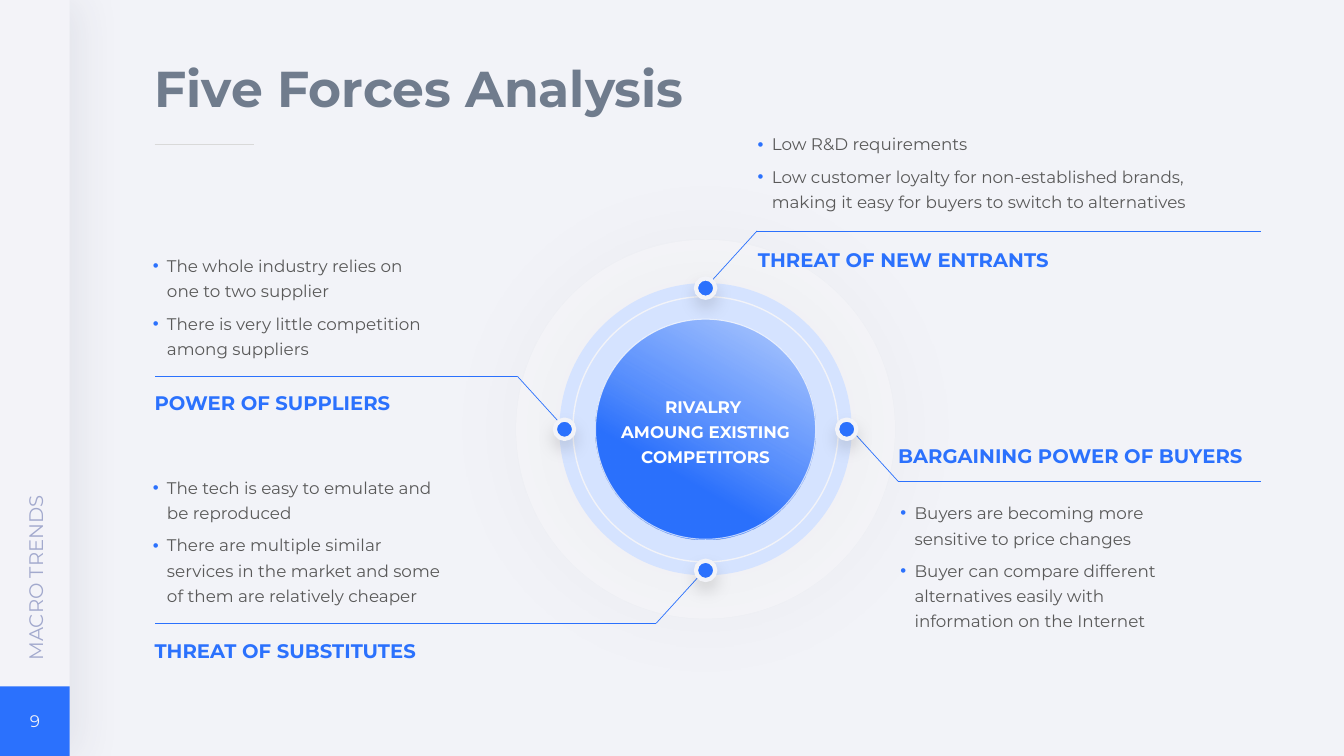
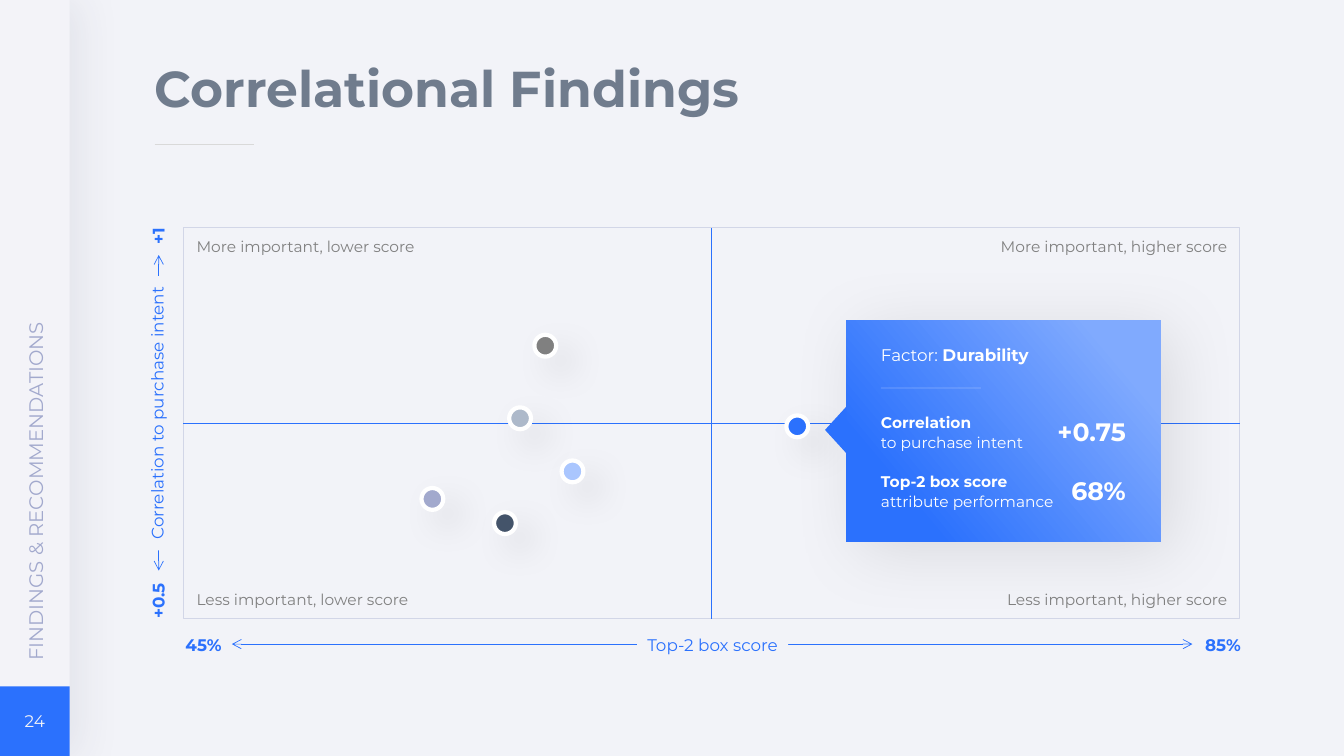
from dataclasses import dataclass, replace
from typing import Optional, Union

from lxml import etree
from pptx import Presentation
from pptx.dml.color import RGBColor
from pptx.enum.shapes import MSO_CONNECTOR, MSO_SHAPE
from pptx.enum.text import MSO_ANCHOR, MSO_AUTO_SIZE, PP_ALIGN
from pptx.oxml.ns import qn
from pptx.util import Emu, Inches, Pt

COLUMNS, ROWS = 80, 45
SLIDE_WIDTH = Inches(40 / 3)
CELL = SLIDE_WIDTH / COLUMNS
Point = tuple[float, float]


@dataclass(frozen=True)
class Theme:
    font: str = "Montserrat"
    paper: str = "F2F3F8"
    band: str = "F3F3F8"
    blue: str = "2B71FD"
    sky: str = "80AAFE"
    ice: str = "D5E3FF"
    lilac: str = "A2A9CD"
    slate: str = "707C8D"
    body: str = "595959"
    gray: str = "808080"
    rule: str = "D9D9D9"
    frame: str = "D2D6E7"
    white: str = "FFFFFF"
    title_size: int = 36
    value_size: int = 18
    heading_size: int = 14
    body_size: int = 12
    label_size: int = 11


THEME = Theme()


@dataclass(frozen=True)
class Box:
    """A rectangle measured in grid cells."""
    left: float
    top: float
    width: float
    height: float

    @property
    def emu(self) -> tuple[Emu, ...]:
        return tuple(map(cells, (self.left, self.top, self.width, self.height)))


@dataclass(frozen=True)
class Line:
    color: str
    width: float = 0.5
    alpha: int = 100


@dataclass(frozen=True)
class Shadow:
    color: str
    alpha: int
    blur: float
    distance: float
    angle: int


@dataclass(frozen=True)
class Gradient:
    """Stops are (position, colour, alpha); the angle runs counter-clockwise."""
    stops: tuple[tuple[int, str, int], ...]
    angle: int


@dataclass(frozen=True)
class Style:
    size: int
    color: str
    bold: bool = False
    align: PP_ALIGN = PP_ALIGN.LEFT
    anchor: MSO_ANCHOR = MSO_ANCHOR.MIDDLE
    spacing: Union[float, Pt, None] = 0.9


@dataclass(frozen=True)
class Force:
    heading: str
    heading_box: Box
    points: tuple[str, str]
    points_box: Box
    elbow: Point
    line_end: float
    leg: Point
    side: Point
    anchor: MSO_ANCHOR = MSO_ANCHOR.BOTTOM


def cells(count: float) -> Emu:
    return Emu(round(count * CELL))


def circle(center: Point, diameter: float) -> Box:
    return Box(center[0] - diameter / 2, center[1] - diameter / 2, diameter, diameter)


def set_alpha(element, alpha: int) -> None:
    if alpha < 100:
        for color in element.iter(qn("a:srgbClr")):
            etree.SubElement(color, qn("a:alpha"), val=str(alpha * 1000))


def add_color(parent, color: str, alpha: int) -> None:
    etree.SubElement(parent, qn("a:srgbClr"), val=color)
    set_alpha(parent, alpha)


def draw_line(target, line: Line) -> None:
    target.line.color.rgb = RGBColor.from_string(line.color)
    target.line.width = Pt(line.width)
    set_alpha(target._element.spPr.find(qn("a:ln")), line.alpha)


def fill_shape(shape, fill: Union[str, Gradient, None], alpha: int) -> None:
    properties = shape._element.spPr
    if fill is None:
        shape.fill.background()
    elif isinstance(fill, Gradient):
        shape.fill.gradient()
        shape.fill.gradient_angle = fill.angle
        stops = properties.find(qn("a:gradFill")).find(qn("a:gsLst"))
        stops.clear()
        for position, color, opacity in fill.stops:
            stop = etree.SubElement(stops, qn("a:gs"), pos=str(position * 1000))
            add_color(stop, color, opacity)
    else:
        shape.fill.solid()
        shape.fill.fore_color.rgb = RGBColor.from_string(fill)
        set_alpha(properties.find(qn("a:solidFill")), alpha)


def add_shape(slide, kind: MSO_SHAPE, box: Box, fill: Union[str, Gradient, None] = None,
              line: Optional[Line] = None, shadow: Optional[Shadow] = None,
              alpha: int = 100, rotation: int = 0):
    shape = slide.shapes.add_shape(kind, *box.emu)
    shape.rotation = rotation
    shape.shadow.inherit = False
    fill_shape(shape, fill, alpha)
    if line:
        draw_line(shape, line)
    else:
        shape.line.fill.background()
    if shadow:
        outer = etree.SubElement(
            shape._element.spPr.find(qn("a:effectLst")), qn("a:outerShdw"),
            blurRad=str(Pt(shadow.blur)), dist=str(Pt(shadow.distance)),
            dir=str(shadow.angle * 60000), algn="ctr", rotWithShape="0")
        add_color(outer, shadow.color, shadow.alpha)
    return shape


def add_line(slide, start: Point, end: Point, line: Line, arrows: bool = False):
    connector = slide.shapes.add_connector(
        MSO_CONNECTOR.STRAIGHT, *map(cells, (*start, *end)))
    draw_line(connector, line)
    properties = connector._element.spPr
    if arrows:
        for tip in ("a:headEnd", "a:tailEnd"):
            etree.SubElement(properties.find(qn("a:ln")), qn(tip), type="arrow")
    etree.SubElement(properties, qn("a:effectLst"))
    return connector


def add_run(paragraph, text: str, style: Style) -> None:
    for index, part in enumerate(text.split("\v")):
        if index:
            paragraph.add_line_break()
        run = paragraph.add_run()
        run.text = part
        font = {"name": THEME.font, "size": Pt(style.size), "bold": style.bold}
        for name, value in font.items():
            setattr(run.font, name, value)
        run.font.color.rgb = RGBColor.from_string(style.color)


def format_frame(shape, style: Style):
    """Set up the text frame and return its first paragraph."""
    frame = shape.text_frame
    layout = {"word_wrap": True, "auto_size": MSO_AUTO_SIZE.NONE,
              "vertical_anchor": style.anchor, "margin_left": 0, "margin_right": 0,
              "margin_top": Inches(0.05), "margin_bottom": Inches(0.05)}
    for name, value in layout.items():
        setattr(frame, name, value)
    return frame.paragraphs[0]


def write(shape, style: Style, *runs: tuple[str, bool]) -> None:
    paragraph = format_frame(shape, style)
    paragraph.alignment, paragraph.line_spacing = style.align, style.spacing
    for text, bold in runs:
        add_run(paragraph, text, replace(style, bold=bold))


def add_text(slide, box: Box, text: str, style: Style, rotation: int = 0) -> None:
    label = slide.shapes.add_textbox(*box.emu)
    label.rotation = rotation
    write(label, style, (text, style.bold))


def add_points(slide, box: Box, points: tuple[str, ...], style: Style) -> None:
    listing = slide.shapes.add_textbox(*box.emu)
    paragraph = format_frame(listing, style)
    for index, point in enumerate(points):
        if index:
            paragraph = listing.text_frame.add_paragraph()
            paragraph.space_before = Pt(2)
        paragraph.space_after = Pt(3)
        paragraph.line_spacing = style.spacing
        properties = paragraph._p.get_or_add_pPr()
        properties.set("marL", str(cells(1.14)))
        properties.set("indent", str(cells(-0.84)))
        add_color(etree.SubElement(properties, qn("a:buClr")), THEME.blue, 100)
        etree.SubElement(properties, qn("a:buFont"), typeface="Arial")
        etree.SubElement(properties, qn("a:buChar"), char="•")
        add_run(paragraph, point, style)


def add_base_slide(deck, title: str, section: str, number: str):
    """Add a title-only slide with the side band, page number and title rule."""
    slide = deck.slides.add_slide(deck.slide_layouts[5])
    band = 4.15
    add_shape(slide, MSO_SHAPE.RECTANGLE, Box(0, 0, band, ROWS), THEME.band,
              shadow=Shadow("2B3150", 7, 30, 7, 0))
    page = add_shape(slide, MSO_SHAPE.RECTANGLE, Box(0, ROWS - band, band, band), THEME.blue)
    write(page, Style(THEME.body_size, THEME.paper, align=PP_ALIGN.CENTER, spacing=None),
          (number, False))
    add_text(slide, Box(-9.3, 26.7, 22.8, 2.45), section,
             Style(THEME.heading_size, THEME.lilac, spacing=None), 270)
    heading = slide.shapes.title
    heading.left, heading.top, heading.width, heading.height = Box(9.2, 3.5, 58.7, 5).emu
    write(heading, Style(THEME.title_size, THEME.slate, anchor=MSO_ANCHOR.TOP), (title, True))
    add_line(slide, (9.2, 8.6), (15.15, 8.6), Line(THEME.rule))
    return slide


FORCES = (
    Force("THREAT OF NEW ENTRANTS", Box(45.12, 14.58, 22.8, 1.68),
          ("Low R&D requirements",
           "Low customer loyalty for non-established brands, "
           "making it easy for buyers to switch to alternatives"),
          Box(44.8, 3.5, 26, 9.4), (45.06, 13.75), 75.06, (-1, 1), (0, -1)),
    Force("THREAT OF SUBSTITUTES", Box(9.2, 36.5, 17.4, 4.4),
          ("The tech is easy to emulate and be reproduced",
           "There are multiple similar services in the market "
           "and some of them are relatively cheaper"),
          Box(8.8, 26.95, 17.95, 9.4), (39.06, 37.1), 9.2, (1, -1), (0, 1)),
    Force("POWER OF SUPPLIERS", Box(9.2, 22.8, 19.4, 2.2),
          ("The whole industry relies on one to two supplier",
           "There is very little competition among suppliers"),
          Box(8.8, 14.95, 16.4, 6.7), (30.8, 22.4), 9.2, (1, 1), (-1, 0)),
    Force("BARGAINING POWER OF BUYERS", Box(53.46, 26, 21.6, 2.2),
          ("Buyers are becoming more sensitive to price changes",
           "Buyer can compare different alternatives easily "
           "with information on the Internet"),
          Box(53.3, 29.35, 17.9, 7.85), (53.46, 28.65), 75.06, (-1, -1), (1, 0),
          MSO_ANCHOR.TOP),
)


def build_forces(deck) -> None:
    slide = add_base_slide(deck, "Five Forces Analysis", "MACRO TRENDS", "9")
    center, reach = (42, 25.55), 8.4
    core = Gradient(((10, THEME.blue, 30), (51, THEME.blue, 76), (68, THEME.blue, 100)), 240)
    rings = (
        (22.55, {"fill": THEME.white, "alpha": 30, "shadow": Shadow("000000", 10, 60, 0, 0)}),
        (17.4, {"fill": THEME.ice}),
        (15.8, {"line": Line(THEME.paper, 1)}),
        (13.1, {"fill": core, "line": Line(THEME.white, 0, 70)}),
    )
    for diameter, look in rings:
        add_shape(slide, MSO_SHAPE.OVAL, circle(center, diameter), **look)
    add_text(slide, Box(36.3, 23.35, 11.4, 4.4), "RIVALRY \vAMOUNG EXISTING COMPETITORS",
             Style(THEME.body_size, THEME.white, True, PP_ALIGN.CENTER, spacing=Pt(18)))
    heading = Style(THEME.heading_size, THEME.blue, True, spacing=Pt(18))
    body = Style(THEME.body_size, THEME.body, spacing=Pt(18))
    for force in FORCES:
        x, y = force.elbow
        add_text(slide, force.heading_box, force.heading, heading)
        add_points(slide, force.points_box, force.points, replace(body, anchor=force.anchor))
        add_line(slide, force.elbow, (force.line_end, y), Line(THEME.blue))
        add_line(slide, force.elbow, (x + 2.82 * force.leg[0], y + 3.1 * force.leg[1]),
                 Line(THEME.blue))
        knob = (center[0] + reach * force.side[0], center[1] + reach * force.side[1])
        add_shape(slide, MSO_SHAPE.OVAL, circle(knob, 1.15), THEME.blue,
                  Line(THEME.paper, 3), Shadow("000000", 13, 12, 6, 90))


def add_axes(slide) -> None:
    axis = Style(THEME.body_size, THEME.blue)
    bold = replace(axis, bold=True)
    right, middle = {"align": PP_ALIGN.RIGHT}, {"align": PP_ALIGN.CENTER}
    for start, end in (((13.8, 38.34), (70.98, 38.34)), ((9.45, 15.18), (9.45, 33.96))):
        add_line(slide, start, end, Line(THEME.blue), arrows=True)
    for box, text, style, rotation in (
            (Box(11.04, 37.56, 2.88, 1.8), "45%", bold, 0),
            (Box(70.98, 37.56, 2.88, 1.8), "85%", replace(bold, **right), 0),
            (Box(8.04, 33.96, 2.88, 2.88), "+0.5", bold, 270),
            (Box(8.04, 13.56, 2.88, 2.88), "+1", replace(bold, **right), 270)):
        add_text(slide, box, text, style, rotation)
    for box, name, rotation in (
            (Box(37.92, 37.56, 9, 1.8), "Top-2 box score", 0),
            (Box(1.26, 23.7, 16.32, 1.8), "Correlation to purchase intent", 270)):
        plate = add_shape(slide, MSO_SHAPE.RECTANGLE, box, THEME.paper, rotation=rotation)
        write(plate, replace(axis, **middle), (name, False))


def add_callout(slide) -> None:
    left = 52.44
    add_shape(slide, MSO_SHAPE.RECTANGLE, Box(50.37, 19.05, 18.74, 13.2),
              Gradient(((19, THEME.blue, 100), (85, THEME.sky, 100)), 40),
              shadow=Shadow("000000", 10, 50, 11, 40))
    add_shape(slide, MSO_SHAPE.ISOSCELES_TRIANGLE, Box(48.36, 24.96, 2.76, 1.26),
              THEME.blue, rotation=270)
    factor = slide.shapes.add_textbox(*Box(left, 20.1, 15.54, 2.16).emu)
    write(factor, Style(THEME.body_size, THEME.white), ("Factor: ", False), ("Durability", True))
    add_line(slide, (left, 23.1), (left + 5.94, 23.1), Line(THEME.white, alpha=33))
    label = Style(THEME.label_size, THEME.white)
    value = Style(THEME.value_size, THEME.white, True, PP_ALIGN.RIGHT)
    metrics = (("Correlation", "to purchase intent", "+0.75"),
               ("Top-2 box score", "attribute performance", "68%"))
    for row, (name, detail, score) in enumerate(metrics):
        top = 24.46 + 3.52 * row
        add_text(slide, Box(left, top, 11.28, 1.5), name, replace(label, bold=True))
        add_text(slide, Box(left, top + 1.2, 11.28, 1.5), detail, label)
        add_text(slide, Box(61.86, top + 0.27, 5.16, 2.16), score, value)


def build_correlation(deck) -> None:
    slide = add_base_slide(deck, "Correlational Findings", "FINDINGS & RECOMMENDATIONS", "24")
    area = Box(10.92, 13.56, 62.88, 23.28)
    frame = add_shape(slide, MSO_SHAPE.RECTANGLE, area, line=Line(THEME.frame))
    for first, last in ((0, 2), (1, 3)):
        divider = add_line(slide, (0, 0), (1, 1), Line(THEME.blue, 1))
        divider.begin_connect(frame, first)
        divider.end_connect(frame, last)
    for top, importance in ((13.32, "More"), (34.32, "Less")):
        for left, score, align in ((11.7, "lower", PP_ALIGN.LEFT),
                                   (54.48, "higher", PP_ALIGN.RIGHT)):
            add_text(slide, Box(left, top, 18.6, 2.88), f"{importance} important, {score} score",
                     Style(THEME.label_size, THEME.gray, align=align))
    add_axes(slide)
    for center, color in (((25.74, 29.7), THEME.lilac), ((30.06, 31.14), "44546A"),
                          ((34.08, 28.06), "AAC6FE"), ((30.96, 24.9), "ADB9CA"),
                          ((32.46, 20.58), THEME.gray), ((47.46, 25.38), THEME.blue)):
        add_shape(slide, MSO_SHAPE.OVAL, circle(center, 1.3), color,
                  Line(THEME.white, 3), Shadow("000000", 10, 25, 15, 45))
    add_callout(slide)


def main() -> None:
    deck = Presentation()
    deck.slide_width, deck.slide_height = SLIDE_WIDTH, cells(ROWS)
    background = deck.slide_master.background.fill
    background.solid()
    background.fore_color.rgb = RGBColor.from_string(THEME.paper)
    build_forces(deck)
    build_correlation(deck)
    deck.save("out.pptx")


if __name__ == "__main__":
    main()
